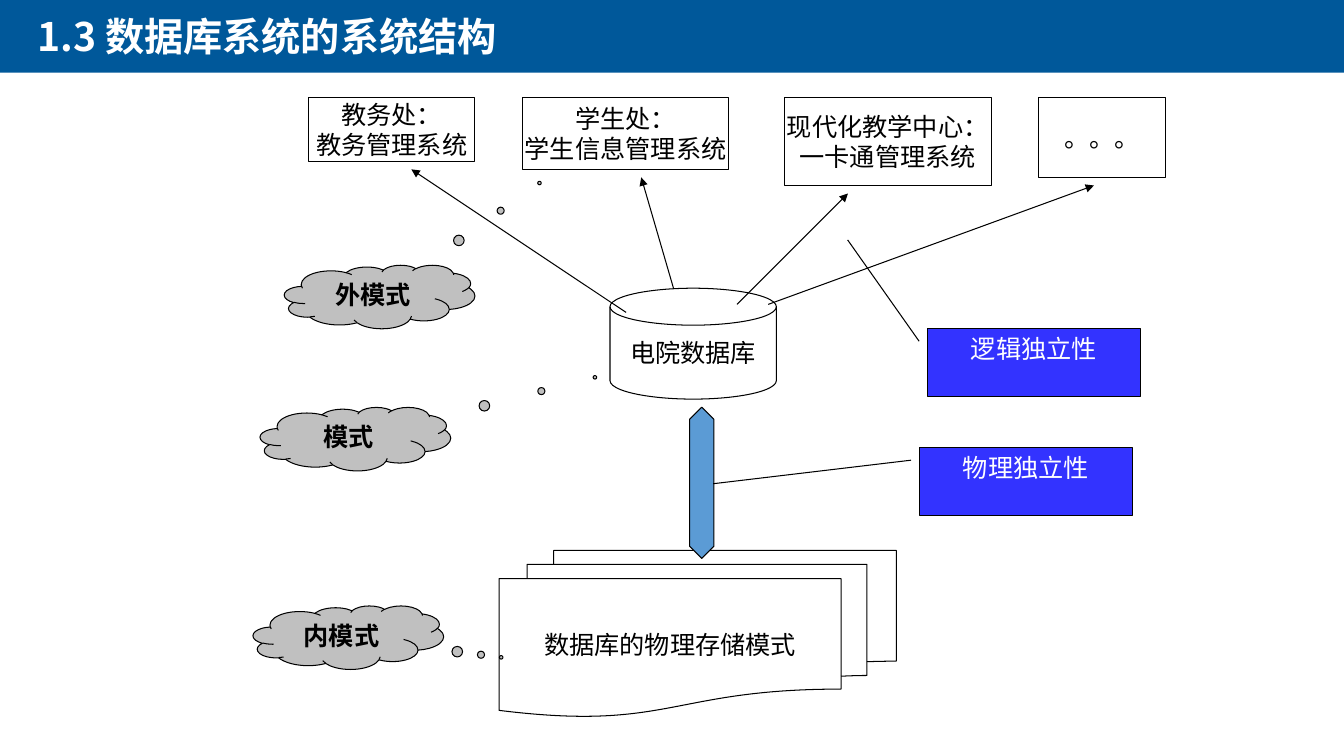
from lxml.etree import SubElement
from pptx import Presentation
from pptx.dml.color import RGBColor
from pptx.enum.shapes import MSO_CONNECTOR, MSO_SHAPE
from pptx.enum.text import MSO_ANCHOR, MSO_AUTO_SIZE, PP_ALIGN
from pptx.oxml.ns import qn
from pptx.util import Inches, Pt

COLORS = {
    "bar": "00589A",
    "white": "FFFFFF",
    "black": "000000",
    "arrow": "5B9BD5",
    "cloud": "C0C0C0",
    "callout": "3333FF",
}
TITLE_FONT = "Noto Sans CJK SC"
BODY_FONT = "Arial"


def rgb(name):
    return RGBColor.from_string(COLORS[name])


def inches(box):
    return [Inches(v) for v in box]


def style_paragraph(p, font, size, color, bold=False):
    p.font.name = font
    p.font.size = Pt(size)
    p.font.bold = bold
    p.font.color.rgb = rgb(color)


def add_block(slide, kind, box, lines=(), fill="white", color="black",
              bold=False, anchor=MSO_ANCHOR.MIDDLE, wrap=False, adj=()):
    sp = slide.shapes.add_shape(kind, *inches(box))
    sp.shadow.inherit = False
    sp.fill.solid()
    sp.fill.fore_color.rgb = rgb(fill)
    sp.line.color.rgb = rgb("black")
    sp.line.width = Pt(0.75)
    for i, value in enumerate(adj):
        sp.adjustments[i] = value
    tf = sp.text_frame
    tf.word_wrap = wrap
    tf.vertical_anchor = anchor
    for i, line in enumerate(lines):
        p = tf.paragraphs[0] if i == 0 else tf.add_paragraph()
        p.text = line
        p.alignment = PP_ALIGN.CENTER
        style_paragraph(p, BODY_FONT, 18, color, bold)
    return sp


def add_arrow(slide, start, end):
    line = slide.shapes.add_connector(
        MSO_CONNECTOR.STRAIGHT, *inches(start), *inches(end))
    line.line.color.rgb = rgb("black")
    line.line.width = Pt(0.75)
    SubElement(line.line._get_or_add_ln(), qn("a:tailEnd"), type="triangle")
    SubElement(line._element.spPr, qn("a:effectLst"))


def add_header(slide, box, text):
    left, top, width, height = box
    bar = add_block(slide, MSO_SHAPE.RECTANGLE, box, fill="bar")
    bar.line.fill.background()
    slide.shapes._spTree.insert(2, bar._element)

    title = slide.shapes.title
    title.left, title.top, title.width, title.height = inches(
        (left + 0.27, top + 0.09, 5.53, 0.57))
    tf = title.text_frame
    tf.text = text
    tf.word_wrap = True
    tf.auto_size = MSO_AUTO_SIZE.NONE
    tf.vertical_anchor = MSO_ANCHOR.MIDDLE
    p = tf.paragraphs[0]
    p.alignment = PP_ALIGN.LEFT
    style_paragraph(p, TITLE_FONT, 28, "white", True)
    SubElement(p._p.pPr.find(qn("a:defRPr")), qn("a:ea"), typeface=TITLE_FONT)


def add_applications(slide, top, database):
    left, db_top = database[:2]
    applications = [
        (3.06, 1.65, 0.63, ["教务处：", "教务管理系统"], (0.16, 0.24), (4.08, 1.68)),
        (5.18, 2.05, 0.71, ["学生处：", "学生信息管理系统"], (0.63, 0), (6.36, 1.76)),
        (7.78, 2.05, 0.87, ["现代化教学中心：", "一卡通管理系统"], (1.26, 0.16), (8.41, 1.92)),
        (10.3, 1.26, 0.79, ["。。。"], (1.57, 0.16), (10.85, 1.84)),
    ]
    for x, width, height, lines, (dx, dy), end in applications:
        add_block(slide, MSO_SHAPE.RECTANGLE, (x, top, width, height), lines)
        add_arrow(slide, (left + dx, db_top + dy), end)


def add_storage(slide, database, box):
    add_block(slide, MSO_SHAPE.FLOWCHART_MAGNETIC_DISK, database, ["电院数据库"])
    add_block(slide, MSO_SHAPE.FLOWCHART_MULTIDOCUMENT, box, ["数据库的物理存储模式"])
    add_block(slide, MSO_SHAPE.UP_DOWN_ARROW,
              (database[0] + 0.79, database[1] + 1.18, 0.24, 1.5),
              fill="arrow", adj=(0.5, 1.268))


def add_schemas(slide, size):
    schemas = [
        ("外模式", (2.82, 2.63), (0.839, -1.792)),
        ("模式", (2.58, 4.04), (1.257, -0.971)),
        ("内模式", (2.51, 6.01), (0.802, 0.313)),
    ]
    for label, position, adj in schemas:
        add_block(slide, MSO_SHAPE.CLOUD_CALLOUT, position + size, [label],
                  fill="cloud", bold=True, anchor=MSO_ANCHOR.TOP, wrap=True,
                  adj=adj)


def add_independence(slide, size):
    callouts = [
        ("逻辑独立性", (9.2, 3.26), (-1.312, -0.376)),
        ("物理独立性", (9.12, 4.44), (0.536, -0.97)),
    ]
    for label, position, target in callouts:
        add_block(slide, MSO_SHAPE.LINE_CALLOUT_1, position + size, [label],
                  fill="callout", color="white", anchor=MSO_ANCHOR.TOP,
                  wrap=True, adj=(0.188, -0.04) + target)


def main():
    prs = Presentation()
    prs.slide_width, prs.slide_height = inches((13.33, 7.5))
    slide = prs.slides.add_slide(prs.slide_layouts[5])
    database = (6.05, 2.86, 1.65, 1.1)
    add_header(slide, (0, -0.02, 13.33, 0.74), "1.3 数据库系统的系统结构")
    add_storage(slide, database, (4.95, 5.46, 3.94, 1.65))
    add_applications(slide, 0.97, database)
    add_schemas(slide, (1.89, 0.63))
    add_independence(slide, (2.11, 0.67))
    prs.save("out.pptx")


if __name__ == "__main__":
    main()
